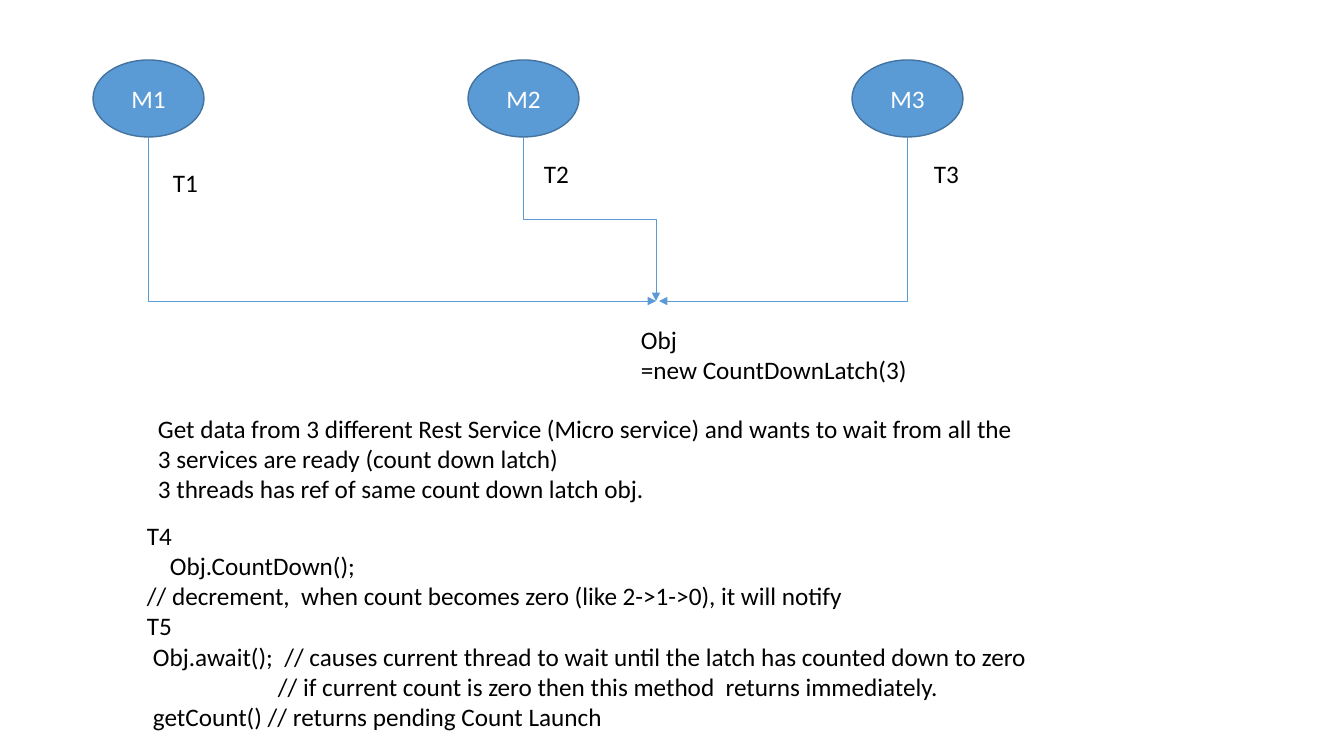
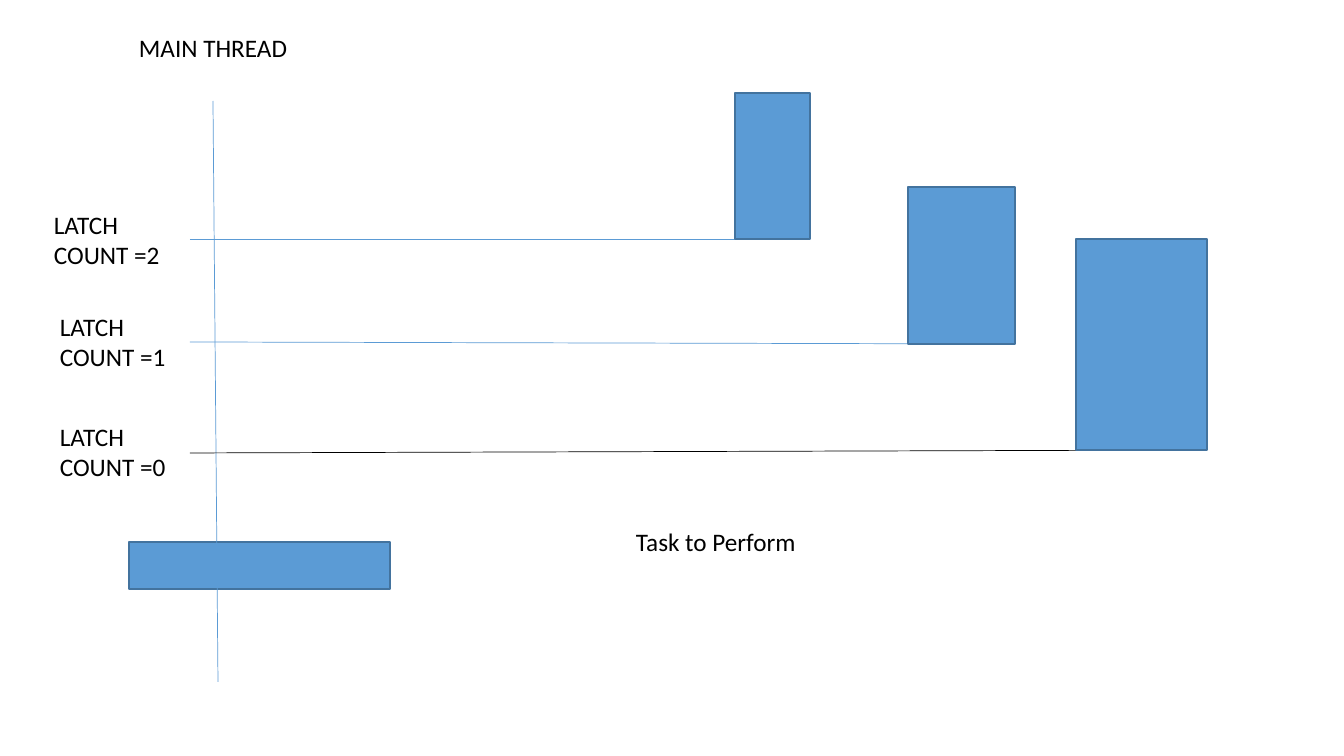
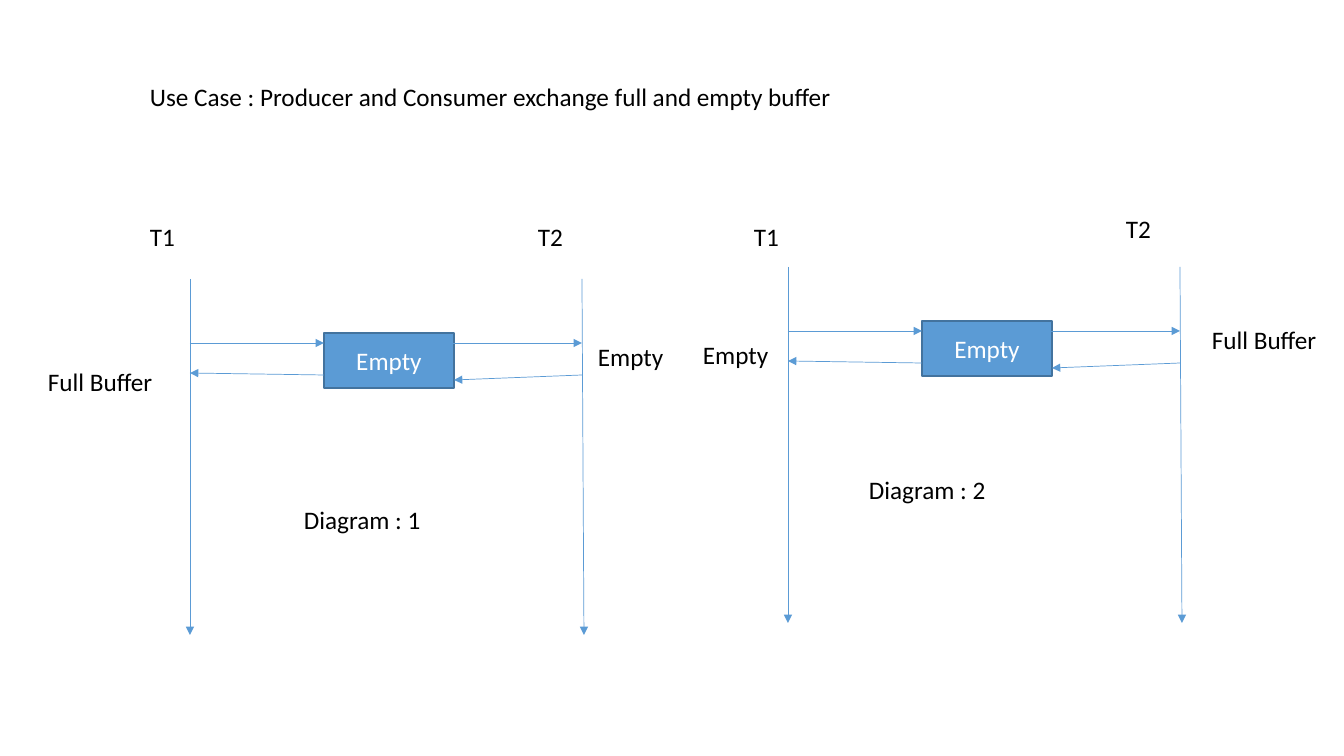
from lxml import etree
from pptx import Presentation
from pptx import util as u
from pptx.dml.color import RGBColor
from pptx.enum import shapes, text
from pptx.oxml.ns import qn

SCALE = 914400 / 100.8
LINE_HEIGHT = 30.2
BLUE, EDGE, BLACK, WHITE = "5B9BD5", "43739E", "000000", "FFFFFF"


def px(length):
    """Turn pixels into EMU."""
    return u.Emu(round(length * SCALE))


def color(value):
    """Turn a hex string into a colour."""
    return RGBColor.from_string(value)


def write(frame, lines, size=18, font="Calibri", ink=BLACK, align=text.PP_ALIGN.LEFT, indents=None):
    """Write lines as paragraphs; indents maps a line number to pixels."""
    frame.word_wrap = True
    for number, line in enumerate(lines):
        paragraph = frame.paragraphs[0] if number == 0 else frame.add_paragraph()
        paragraph.alignment = align
        run = paragraph.add_run()
        run.text = line
        run.font.size = u.Pt(size)
        run.font.name = font
        run.font.color.rgb = color(ink)
        if indents and number in indents:
            paragraph._p.get_or_add_pPr().set("marL", str(px(indents[number])))


class Deck:
    """Hold the shared style and the current slide."""

    def __init__(self):
        """Start an empty wide presentation."""
        self.presentation = Presentation()
        self.presentation.slide_width = px(1344)
        self.presentation.slide_height = px(756)
        self.slide = None

    def new_slide(self):
        """Add a blank slide and make it current."""
        self.slide = self.presentation.slides.add_slide(self.presentation.slide_layouts[6])

    def shape(self, left, top, width, height, label=None, kind=shapes.MSO_SHAPE.RECTANGLE):
        """Add a blue shape, with a centred label if given."""
        shape = self.slide.shapes.add_shape(kind, px(left), px(top), px(width), px(height))
        shape.shadow.inherit = False
        shape.fill.solid()
        shape.fill.fore_color.rgb = color(BLUE)
        shape.line.color.rgb = color(EDGE)
        shape.line.width = u.Pt(1)
        if label:
            shape.text_frame.vertical_anchor = text.MSO_ANCHOR.MIDDLE
            write(shape.text_frame, [label], ink=WHITE, align=text.PP_ALIGN.CENTER)

    def label(self, left, top, width, *lines, rows=None, **style):
        """Add a text box tall enough for its rows."""
        height = (rows or len(lines)) * LINE_HEIGHT + 10
        box = self.slide.shapes.add_textbox(px(left), px(top), px(width), px(height))
        box.text_frame.auto_size = text.MSO_AUTO_SIZE.SHAPE_TO_FIT_TEXT
        write(box.text_frame, lines, **style)

    def line(self, start, end, ink=BLUE, arrow=False, kind=shapes.MSO_CONNECTOR.STRAIGHT):
        """Add a thin connector, with an arrowhead at its end if asked."""
        points = [px(value) for value in (*start, *end)]
        connector = self.slide.shapes.add_connector(kind, *points)
        connector.line.color.rgb = color(ink)
        connector.line.width = u.Pt(0.5)
        properties = connector._element.spPr
        if arrow:
            etree.SubElement(properties.find(qn("a:ln")), qn("a:tailEnd"), type="triangle")
        etree.SubElement(properties, qn("a:effectLst"))
        return connector

    def elbow(self, start, end, preset):
        """Add a bent arrow that leaves its start downwards."""
        (x1, y1), (x2, y2) = start, end
        middle_x, middle_y = (x1 + x2) / 2, (y1 + y2) / 2
        half_width, half_height = (y2 - y1) / 2, abs(x2 - x1) / 2
        side = -1 if x2 > x1 else 1
        connector = self.line(
            (middle_x - side * half_width, middle_y - half_height),
            (middle_x + side * half_width, middle_y + half_height),
            arrow=True, kind=shapes.MSO_CONNECTOR.ELBOW)
        properties = connector._element.spPr
        properties.find(qn("a:xfrm")).set("rot", str((270 if side < 0 else 90) * 60000))
        properties.find(qn("a:prstGeom")).set("prst", preset)

    def exchange(self, dx, dy):
        """Draw two threads that swap buffers through a box."""
        self.shape(324 + dx, 333 + dy, 130, 55, "Empty")
        arrows = [
            ((190, 279), (190, 635)), ((582, 279), (584, 635)),
            ((190, 343), (324, 343)), ((448, 343), (582, 343)),
            ((324, 375), (190, 373)), ((582, 375), (454, 380)),
        ]
        for (x1, y1), (x2, y2) in arrows:
            self.line((x1 + dx, y1 + dy), (x2 + dx, y2 + dy), arrow=True)


def latch_services(deck):
    """Three services count down one latch."""
    deck.new_slide()
    services = [
        ("M1", 93, (656, 301), "bentConnector2"),
        ("M2", 468, (656, 301), "bentConnector3"),
        ("M3", 852, (659, 301), "bentConnector2"),
    ]
    for name, left, target, preset in services:
        deck.shape(left, 60, 111, 77, name, shapes.MSO_SHAPE.OVAL)
        deck.elbow((left + 55, 137), target, preset)
    for name, left, top in [("T1", 163, 162), ("T2", 534, 153), ("T3", 924, 153)]:
        deck.label(left, top, 84, name)
    deck.label(631, 319, 388, "Obj ", "=new CountDownLatch(3)")
    deck.label(
        148, 408, 880,
        "Get data from 3 different Rest Service (Micro service) and wants to wait "
        "from all the 3 services are ready (count down latch)",
        "3 threads has ref of same count down latch obj.", rows=3)
    deck.label(
        137, 515, 902,
        "T4",
        "Obj.CountDown();",
        "// decrement,  when count becomes zero (like 2->1->0), it will notify",
        "T5",
        "Obj.await();  // causes current thread to wait until the latch has counted down to zero",
        "// if current count is zero then this method  returns immediately.",
        "getCount() // returns pending Count Launch",
        indents={1: 23, 4: 6, 5: 131, 6: 6})


def latch_timeline(deck):
    """The main thread waits while tasks lower the count."""
    deck.new_slide()
    deck.shape(129, 542, 261, 47)
    deck.line((213, 101), (218, 682))
    deck.label(129, 27, 241, "MAIN THREAD")
    steps = [
        (2, 44, 204, 239, BLUE, (735, 93, 75, 146)),
        (1, 50, 306, 342, BLUE, (908, 187, 107, 157)),
        (0, 50, 416, 453, BLACK, (1076, 239, 131, 211)),
    ]
    for count, left, top, level, ink, task in steps:
        task_left, task_top, width, height = task
        deck.label(left, top, 190 - left, f"LATCH COUNT ={count}", rows=2)
        deck.line((190, level), (task_left + width, task_top + height), ink)
        deck.shape(*task)
    deck.label(626, 521, 490, "Task to Perform")


def buffer_exchange(deck):
    """Producer and consumer swap buffers, in two diagrams."""
    deck.new_slide()
    deck.label(140, 76, 857, "Use Case : Producer and Consumer exchange full and empty buffer")
    deck.exchange(0, 0)
    deck.exchange(598, -12)
    labels = [
        ("T1", 140, 216, 90), ("T2", 528, 216, 105),
        ("Full Buffer", 38, 361, 127), ("Empty", 588, 336, 100),
        ("Empty", 693, 334, 100), ("Full Buffer", 1202, 319, 127),
        ("T1", 744, 216, 102), ("T2", 1116, 208, 123),
        ("Diagram : 1", 294, 499, 152), ("Diagram : 2", 859, 469, 257),
    ]
    for words, left, top, width in labels:
        deck.label(left, top, width, words)


deck = Deck()
latch_services(deck)
latch_timeline(deck)
buffer_exchange(deck)
deck.presentation.save("out.pptx")
